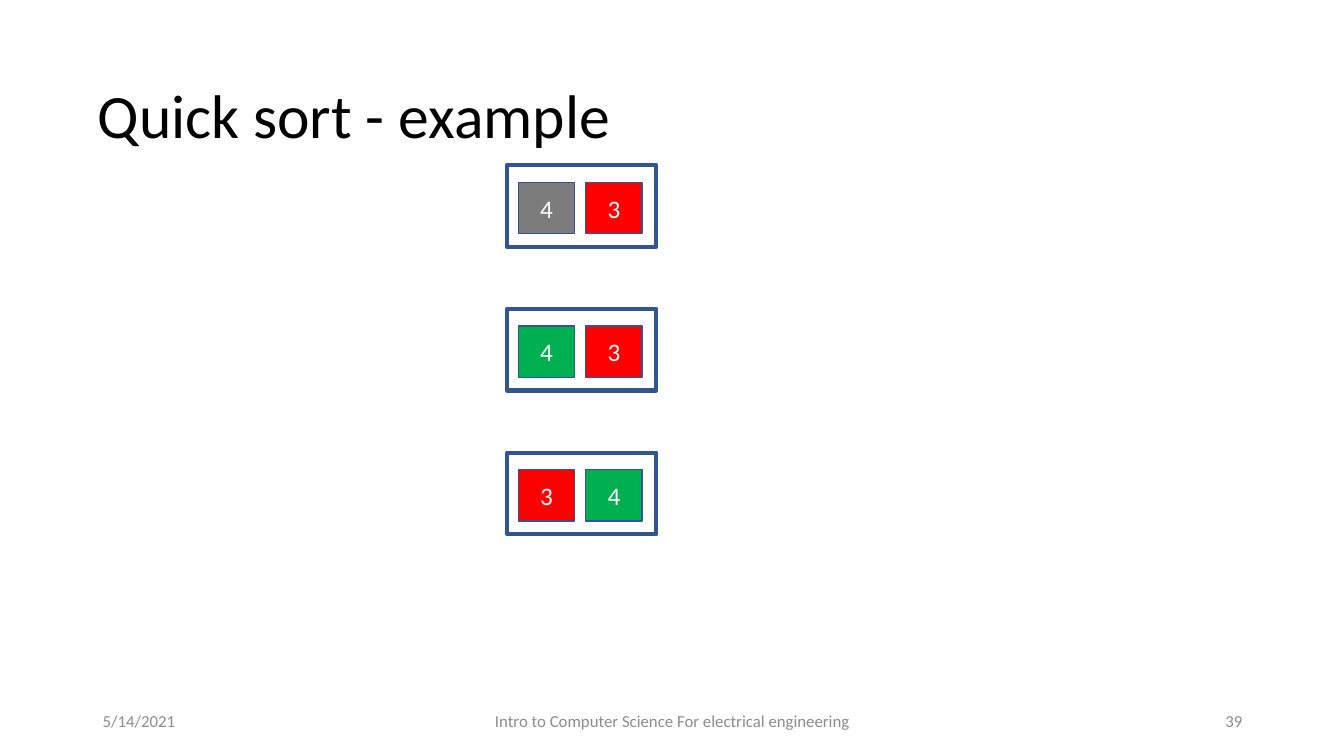
import pptx
import pptx.dml.color
import pptx.enum.shapes
import pptx.enum.text
import pptx.util

Inches = pptx.util.Inches
ALIGN = pptx.enum.text.PP_ALIGN

COLORS = {
    "title": "000000",
    "footer": "8C8C8C",
    "outline": "325491",
    "digit": "FFFFFF",
    "gray": "7C7C7C",
    "red": "FF0000",
    "green": "00B050",
}

STEPS = [
    [("4", "gray"), ("3", "red")],
    [("4", "green"), ("3", "red")],
    [("3", "red"), ("4", "green")],
]


def rgb(name):
    return pptx.dml.color.RGBColor.from_string(COLORS[name])


def write(shape, text, size, color, align, line_spacing=1.0):
    frame = shape.text_frame
    frame.word_wrap = True
    frame.vertical_anchor = pptx.enum.text.MSO_ANCHOR.MIDDLE
    paragraph = frame.paragraphs[0]
    paragraph.alignment = align
    paragraph.line_spacing = line_spacing
    run = paragraph.add_run()
    run.text = text
    run.font.name = "Calibri"
    run.font.size = pptx.util.Pt(size)
    run.font.color.rgb = rgb(color)


def add_rect(slide, left, top, width, height, line_width, fill=None):
    rect = slide.shapes.add_shape(
        pptx.enum.shapes.MSO_SHAPE.RECTANGLE,
        Inches(left), Inches(top), Inches(width), Inches(height))
    rect.shadow.inherit = False
    rect.line.color.rgb = rgb("outline")
    rect.line.width = pptx.util.Pt(line_width)
    if fill:
        rect.fill.solid()
        rect.fill.fore_color.rgb = rgb(fill)
    else:
        rect.fill.background()
    return rect


def add_title(slide, left, top, width, height):
    title = slide.shapes.add_textbox(
        Inches(left), Inches(top), Inches(width), Inches(height))
    write(title, "Quick sort - example", 44, "title", ALIGN.LEFT, 0.9)


def add_footer(slide, left, top, width, height):
    """Date at the left, course name in the middle, page number at the right."""
    side, middle = 3, 4.5
    parts = [
        ("5/14/2021", 0, side, ALIGN.LEFT),
        ("Intro to Computer Science For electrical engineering",
         (width - middle) / 2, middle, ALIGN.CENTER),
        ("39", width - side, side, ALIGN.RIGHT),
    ]
    for text, offset, part_width, align in parts:
        part = slide.shapes.add_textbox(
            Inches(left + offset), Inches(top), Inches(part_width), Inches(height))
        write(part, text, 12, "footer", align)


def add_step(slide, left, top, width, height, cells):
    """One state of the array: a frame around its coloured cells."""
    add_rect(slide, left, top, width, height, 3)
    for column, (digit, fill) in enumerate(cells):
        cell = add_rect(slide, left + 0.11 + column * 0.67, top + 0.17,
                        0.56, 0.51, 1, fill)
        write(cell, digit, 18, "digit", ALIGN.CENTER)


def main():
    deck = pptx.Presentation()
    deck.slide_width, deck.slide_height = Inches(13.33), Inches(7.5)
    slide = deck.slides.add_slide(deck.slide_layouts[6])
    add_title(slide, 0.87, 0.45, 11.5, 1.45)
    add_footer(slide, 0.92, 6.95, 11.5, 0.4)
    for row, cells in enumerate(STEPS):
        add_step(slide, 5.03, 1.64 + row * 1.425, 1.48, 0.81, cells)
    deck.save("out.pptx")


if __name__ == "__main__":
    main()
